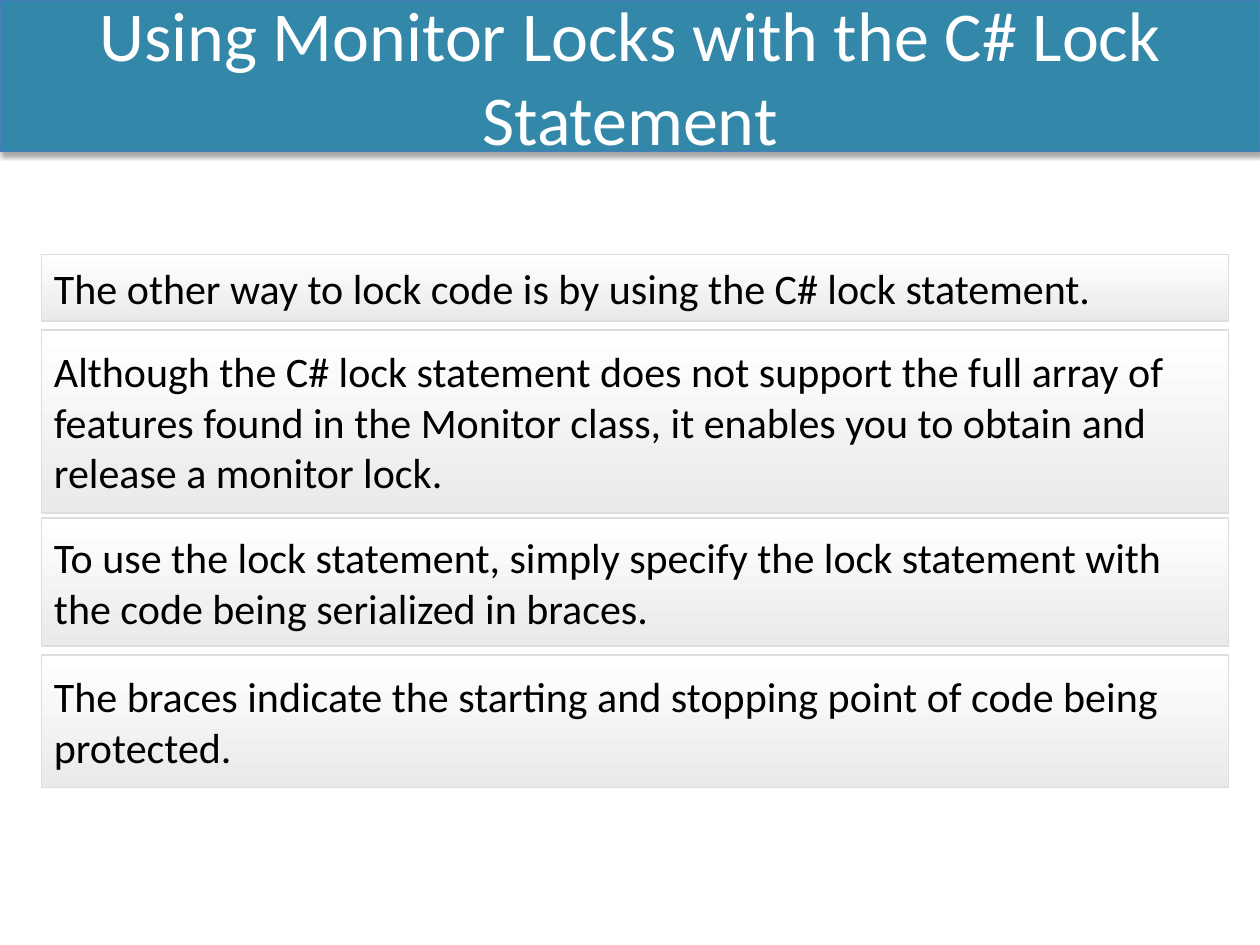
"""Build the slide on the C# lock statement."""
from dataclasses import dataclass

from lxml.etree import SubElement
from pptx import Presentation
from pptx.dml.color import RGBColor
from pptx.enum.shapes import MSO_SHAPE
from pptx.enum.text import MSO_ANCHOR, MSO_AUTO_SIZE, PP_ALIGN
from pptx.oxml.ns import qn
from pptx.util import Inches, Pt

TEAL = RGBColor(0x33, 0x88, 0xA9)
BLUE = RGBColor(0x4B, 0x7E, 0xBC)
WHITE = RGBColor(0xFF, 0xFF, 0xFF)
BLACK = RGBColor(0, 0, 0)
PALE = RGBColor(0xEA, 0xEA, 0xEA)
GRAY = RGBColor(0xDD, 0xDD, 0xDD)
WIDE, HIGH = 10, 7.5
LEFT, SPAN = 0.33, 9.42


@dataclass
class Panel:
    top: float
    height: float
    text: str


PANELS = [
    Panel(2.02, 0.53, "The other way to lock code is by using the C# lock statement."),
    Panel(2.62, 1.45, "Although the C# lock statement does not support the full array of "
          "features found in the Monitor class, it enables you to obtain and "
          "release a monitor lock."),
    Panel(4.11, 1.02, "To use the lock statement, simply specify the lock statement with "
          "the code being serialized in braces."),
    Panel(5.2, 1.05, "The braces indicate the starting and stopping point of code being "
          "protected."),
]


def write(shape, text: str, *, size: float, color: RGBColor, align=PP_ALIGN.LEFT) -> None:
    frame = shape.text_frame
    frame.text = text
    frame.word_wrap = True
    frame.auto_size = MSO_AUTO_SIZE.NONE
    frame.vertical_anchor = MSO_ANCHOR.MIDDLE
    line = frame.paragraphs[0]
    line.alignment = align
    font = line.runs[0].font
    font.name, font.size, font.color.rgb = "Calibri", Pt(size), color


def edge(shape, color: RGBColor, width: float) -> None:
    shape.line.color.rgb = color
    shape.line.width = Pt(width)


def shade(shape) -> None:
    effects = SubElement(shape.element.spPr, qn("a:effectLst"))
    shadow = SubElement(effects, qn("a:outerShdw"), blurRad=str(Pt(3.1)),
                        dist=str(Pt(1.8)), dir="5400000", rotWithShape="0")
    color = SubElement(shadow, qn("a:srgbClr"), val=str(BLACK))
    SubElement(color, qn("a:alpha"), val="35000")


def draw_title(slide, text: str) -> None:
    title = slide.shapes.title
    title.left, title.top = 0, 0
    title.width, title.height = Inches(WIDE), Inches(0.16 * HIGH)
    title.fill.solid()
    title.fill.fore_color.rgb = TEAL
    edge(title, BLUE, 0.75)
    shade(title)
    write(title, text, size=40, color=WHITE, align=PP_ALIGN.CENTER)


def draw_panel(slide, panel: Panel) -> None:
    box = slide.shapes.add_shape(MSO_SHAPE.RECTANGLE, Inches(LEFT), Inches(panel.top),
                                 Inches(SPAN), Inches(panel.height))
    box.shadow.inherit = False
    box.fill.gradient()
    box.fill.gradient_angle = 270
    for stop, place, color in zip(box.fill.gradient_stops, (0, 1), (WHITE, PALE)):
        stop.position, stop.color.rgb = place, color
    edge(box, GRAY, 1)
    write(box, panel.text, size=24, color=BLACK)


def main() -> None:
    deck = Presentation()
    deck.slide_width, deck.slide_height = Inches(WIDE), Inches(HIGH)
    slide = deck.slides.add_slide(deck.slide_layouts[5])
    draw_title(slide, "Using Monitor Locks with the C# Lock Statement")
    for panel in PANELS:
        draw_panel(slide, panel)
    deck.save("out.pptx")


main()
